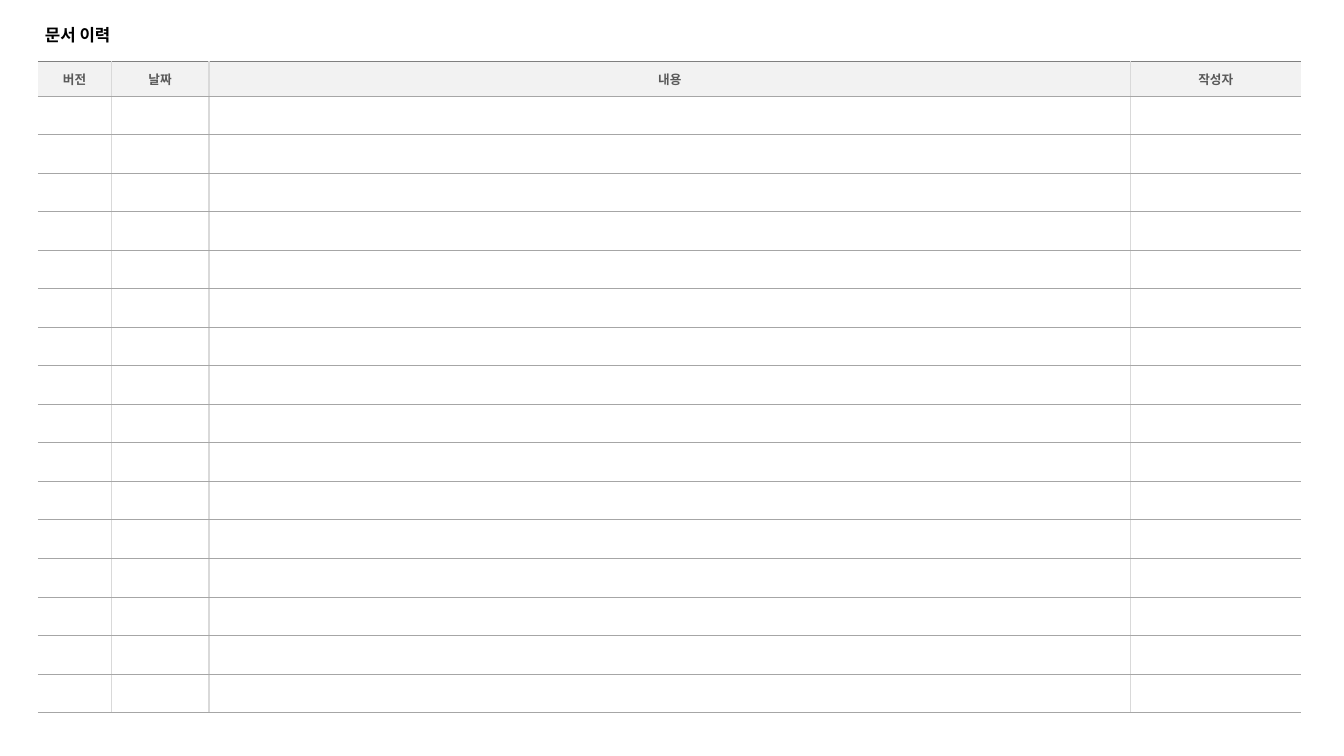
from lxml import etree
from pptx import Presentation
from pptx.dml.color import RGBColor
from pptx.enum import text
from pptx.oxml.ns import qn
from pptx.util import Pt

FONT_KOREAN = "Noto Sans CJK KR"
HEADINGS = ["버전", "날짜", "내용", "작성자"]
COLUMN_WIDTHS = [52.4, 69.9, 658.4, 121.5]
HEADER_HEIGHT = 24.5
BODY_ROWS = 16
GRID_VERTICAL = ("D9D9D9", 1)
GRID_HORIZONTAL = ("A6A6A6", 0.5)
HEADER_TOP = ("808080", 1)


def color(hex_string):
    return RGBColor.from_string(hex_string)


def add_run(paragraph, content, size, latin_font, hex_color):
    run = paragraph.add_run()
    run.text = content
    run.font.name = latin_font
    run.font.size = Pt(size)
    run.font.bold = True
    run.font.color.rgb = color(hex_color)
    etree.SubElement(run._r.get_or_add_rPr(), qn("a:ea"), typeface=FONT_KOREAN)


def set_borders(cell, left, right, top, bottom):
    """Draw each side as (colour, width); None leaves a side open."""
    properties = cell._tc.get_or_add_tcPr()
    for side, border in zip("LRTB", (left, right, top, bottom)):
        line = etree.SubElement(properties, qn(f"a:ln{side}"))
        if border is None:
            etree.SubElement(line, qn("a:noFill"))
            continue
        hex_color, width = border
        line.set("w", str(Pt(width)))
        fill = etree.SubElement(line, qn("a:solidFill"))
        etree.SubElement(fill, qn("a:srgbClr"), val=hex_color)


def add_title(slide, left, top, width, height):
    shape = slide.shapes.add_textbox(Pt(left), Pt(top), Pt(width), Pt(height))
    frame = shape.text_frame
    frame.word_wrap = True
    frame.vertical_anchor = text.MSO_ANCHOR.MIDDLE
    paragraph = frame.paragraphs[0]
    paragraph.line_spacing = 0.9
    add_run(paragraph, "문서 이력", 12, FONT_KOREAN, "000000")


def add_history_table(slide, left, top, width, height):
    shape = slide.shapes.add_table(BODY_ROWS + 1, len(HEADINGS),
                                   Pt(left), Pt(top), Pt(width), Pt(height))
    table = shape.table
    table.first_row = table.horz_banding = False
    for column, column_width in zip(table.columns, COLUMN_WIDTHS):
        column.width = Pt(column_width)
    body_height = (height - HEADER_HEIGHT) / BODY_ROWS
    last = len(HEADINGS) - 1
    for row_index, row in enumerate(table.rows):
        is_header = row_index == 0
        row.height = Pt(HEADER_HEIGHT if is_header else body_height)
        for column_index, cell in enumerate(row.cells):
            set_borders(cell,
                        GRID_VERTICAL if column_index > 0 else None,
                        GRID_VERTICAL if column_index < last else None,
                        HEADER_TOP if is_header else GRID_HORIZONTAL,
                        GRID_HORIZONTAL)
            cell.fill.solid()
            cell.fill.fore_color.rgb = color("F2F2F2" if is_header else "FFFFFF")
            cell.margin_top = cell.margin_bottom = Pt(5.6)
            paragraph = cell.text_frame.paragraphs[0]
            if is_header:
                paragraph.alignment = text.PP_ALIGN.CENTER
                add_run(paragraph, HEADINGS[column_index], 9, "Arial", "595959")
            else:
                etree.SubElement(paragraph._p, qn("a:endParaRPr"), sz="900")


def main():
    presentation = Presentation()
    presentation.slide_width = Pt(960)
    presentation.slide_height = Pt(540)
    slide = presentation.slides.add_slide(presentation.slide_layouts[6])
    add_title(slide, 25, 14.4, 916.6, 23)
    add_history_table(slide, 27, 44, sum(COLUMN_WIDTHS), 465)
    presentation.save("out.pptx")


if __name__ == "__main__":
    main()
